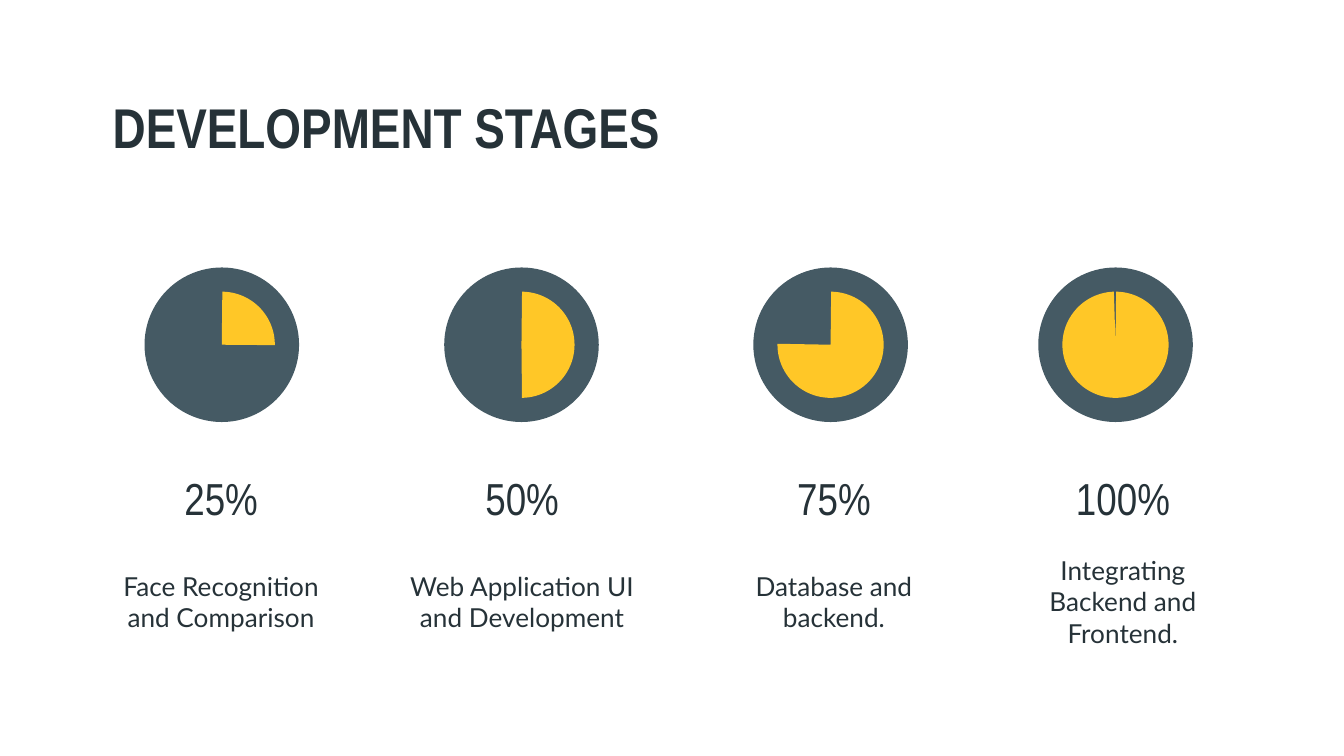
from dataclasses import dataclass

from pptx import Presentation
from pptx.dml.color import RGBColor
from pptx.enum.shapes import MSO_SHAPE
from pptx.enum.text import MSO_ANCHOR, PP_ALIGN
from pptx.util import Inches, Pt

SLATE = RGBColor(0x45, 0x5A, 0x64)
AMBER = RGBColor(0xFF, 0xC7, 0x27)
INK = RGBColor(0x26, 0x32, 0x38)
OVAL, PIE = MSO_SHAPE.OVAL, MSO_SHAPE.PIE
LEFT, CENTER = PP_ALIGN.LEFT, PP_ALIGN.CENTER
MIDDLE = MSO_ANCHOR.MIDDLE
HEADING_FONT, BODY_FONT = "Arial Narrow", "Lato"

PAGE_WIDTH = 10
PAGE_HEIGHT = PAGE_WIDTH * 9 / 16
DISC_SIZE, PIE_SIZE = 1.15, 0.79
PIE_START = 270.65
UNITS_PER_DEGREE = 0.6


@dataclass
class Stage:
    """One development stage: its column, dial and wording."""
    left: float
    dial_center: float
    pie_end: float
    percent: str
    label: str
    label_width: float = 1.81


STAGES = [
    Stage(0.74, 1.65, 0.43, "25%", "Face Recognition and Comparison"),
    Stage(2.98, 3.88, 89.38, "50%", "Web Application UI and Development", 2),
    Stage(5.3, 6.18, 181.05, "75%", "Database and backend."),
    Stage(7.45, 8.3, 268.26, "100%", "Integrating Backend and Frontend."),
]


def add_text(page, box, text, font, size, align=CENTER, bold=False):
    """Place one styled paragraph in the box (left, top, width, height)."""
    frame = page.shapes.add_textbox(*map(Inches, box)).text_frame
    frame.word_wrap = True
    frame.vertical_anchor = MIDDLE
    frame.margin_left = frame.margin_right = Inches(0.1)
    frame.margin_top = frame.margin_bottom = Inches(0.1)
    frame.text = text
    para = frame.paragraphs[0]
    para.alignment = align
    span = para.runs[0]
    span.font.name = font
    span.font.size = Pt(size)
    span.font.bold = bold
    span.font.color.rgb = INK


def add_round(page, kind, center_x, center_y, size, color):
    """Draw a plain round shape about its centre and return it."""
    shape = page.shapes.add_shape(
        kind, Inches(center_x - size / 2), Inches(center_y - size / 2),
        Inches(size), Inches(size))
    shape.shadow.inherit = False
    shape.fill.solid()
    shape.fill.fore_color.rgb = color
    shape.line.fill.background()
    return shape


def add_dial(page, center_x, center_y, pie_end):
    """Draw a disc with a pie showing the progress."""
    add_round(page, OVAL, center_x, center_y, DISC_SIZE, SLATE)
    pie = add_round(page, PIE, center_x, center_y, PIE_SIZE, AMBER)
    pie.adjustments[0] = PIE_START * UNITS_PER_DEGREE
    pie.adjustments[1] = pie_end * UNITS_PER_DEGREE


def add_stage(page, stage, box):
    """Fill the column box with a dial, a percentage and a label."""
    left, top, width, height = box
    add_dial(page, stage.dial_center, top + DISC_SIZE / 2, stage.pie_end)
    add_text(page, (left, top + 1.51, width, 0.4), stage.percent,
             HEADING_FONT, 24)
    label_left = left + (width - stage.label_width) / 2
    add_text(page, (label_left, top + 1.91, stage.label_width, height - 1.91),
             stage.label, BODY_FONT, 14)


def main():
    """Build and save the slide."""
    deck = Presentation()
    deck.slide_width, deck.slide_height = Inches(PAGE_WIDTH), Inches(PAGE_HEIGHT)
    page = deck.slides.add_slide(deck.slide_layouts[6])
    add_text(page, (0.74, 0.58, 8.52, 0.71), "DEVELOPMENT STAGES",
             HEADING_FONT, 30, LEFT, True)
    for stage in STAGES:
        add_stage(page, stage, (stage.left, 1.99, 1.81, 3.06))
    deck.save("out.pptx")


if __name__ == "__main__":
    main()
